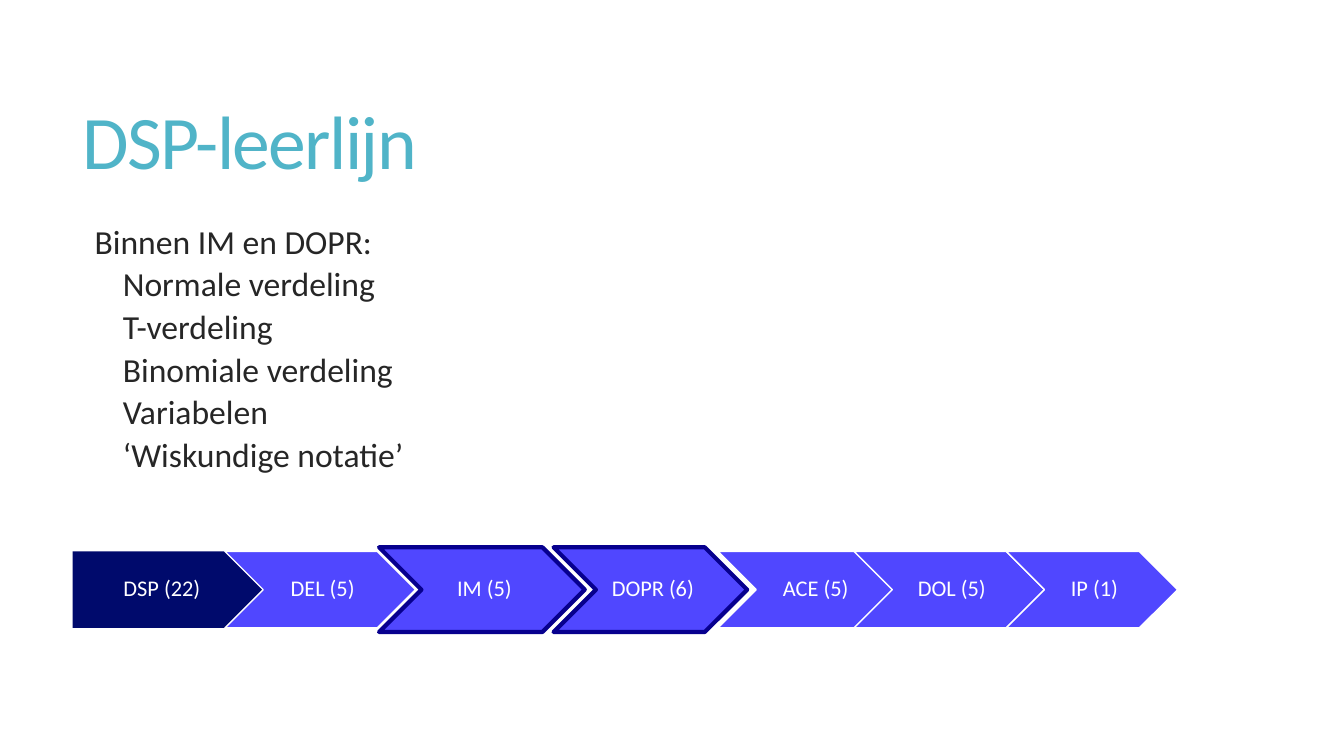
from dataclasses import dataclass

import pptx
import pptx.dml.color
import pptx.enum.shapes
import pptx.enum.text
import pptx.util
from pptx.dml.color import RGBColor
from pptx.util import Inches

WHITE = RGBColor(0xFF, 0xFF, 0xFF)
TEAL = RGBColor(0x50, 0xB4, 0xC8)
CHARCOAL = RGBColor(0x26, 0x26, 0x26)
NAVY = RGBColor(0x00, 0x0A, 0x6C)
VIOLET = RGBColor(0x50, 0x47, 0xFF)
OUTLINE = RGBColor(0x07, 0x00, 0x8E)

FONT_NAME = "Calibri"
ROW_MIDDLE = 5.85
STEP_HEIGHT = 0.76
FOCUS_HEIGHT = 0.84


@dataclass
class Step:
    label: str
    left: float
    width: float = 1.89
    first: bool = False
    focus: bool = False


TOPICS = [
    "Normale verdeling",
    "T-verdeling",
    "Binomiale verdeling",
    "Variabelen",
    "‘Wiskundige notatie’",
]

STEPS = [
    Step("DSP (22)", 0.72, first=True),
    Step("DEL (5)", 2.23),
    Step("IM (5)", 3.76, 2.04, focus=True),
    Step("DOPR (6)", 5.49, 1.92, focus=True),
    Step("ACE (5)", 7.12),
    Step("DOL (5)", 8.47),
    Step("IP (1)", 9.98, 1.7),
]


def style_paragraph(paragraph, size: float, color: RGBColor, line_spacing: float) -> None:
    paragraph.line_spacing = line_spacing
    paragraph.font.name = FONT_NAME
    paragraph.font.size = pptx.util.Pt(size)
    paragraph.font.color.rgb = color


def add_text_frame(slide, left: float, top: float, width: float, height: float):
    box = slide.shapes.add_textbox(Inches(left), Inches(top), Inches(width), Inches(height))
    box.text_frame.word_wrap = True
    return box.text_frame


def add_title(slide, text: str) -> None:
    frame = add_text_frame(slide, 0.72, 0.55, 11.78, 1.81)
    frame.vertical_anchor = pptx.enum.text.MSO_ANCHOR.MIDDLE
    paragraph = frame.paragraphs[0]
    run = paragraph.add_run()
    run.text = text
    run._r.get_or_add_rPr().set("spc", "-120")
    style_paragraph(paragraph, 54, TEAL, 0.85)


def add_topics(slide, heading: str, topics: list[str]) -> None:
    frame = add_text_frame(slide, 0.74, 2.2, 11.76, 4.12)
    for index, text in enumerate([heading, *topics]):
        paragraph = frame.add_paragraph() if index else frame.paragraphs[0]
        paragraph.text = text
        properties = paragraph._p.get_or_add_pPr()
        properties.set("marL", str(Inches(0.38 if index else 0.1)))
        if index:
            paragraph.level = 1
            paragraph.space_before = pptx.util.Pt(6)
        style_paragraph(paragraph, 24, CHARCOAL, 0.85)


def add_step(slide, step: Step) -> None:
    kinds = pptx.enum.shapes.MSO_SHAPE
    height = FOCUS_HEIGHT if step.focus else STEP_HEIGHT
    shape = slide.shapes.add_shape(
        kinds.PENTAGON if step.first else kinds.CHEVRON,
        Inches(step.left), Inches(ROW_MIDDLE - height / 2),
        Inches(step.width), Inches(height),
    )
    shape.shadow.inherit = False
    shape.fill.solid()
    shape.fill.fore_color.rgb = NAVY if step.first else VIOLET
    if step.first:
        shape.line.fill.background()
    else:
        shape.line.color.rgb = OUTLINE if step.focus else WHITE
        shape.line.width = pptx.util.Pt(3 if step.focus else 1)

    frame = shape.text_frame
    frame.word_wrap = True
    frame.vertical_anchor = pptx.enum.text.MSO_ANCHOR.MIDDLE
    frame.margin_left = Inches(0.09 if step.first else 0.07)
    frame.margin_right = Inches(0.02)
    frame.margin_top = frame.margin_bottom = Inches(0.05)
    paragraph = frame.paragraphs[0]
    paragraph.text = step.label
    paragraph.alignment = pptx.enum.text.PP_ALIGN.CENTER
    style_paragraph(paragraph, 16, WHITE, 0.9)


def main() -> None:
    presentation = pptx.Presentation()
    presentation.slide_width = Inches(13.33)
    presentation.slide_height = Inches(7.5)
    slide = presentation.slides.add_slide(presentation.slide_layouts[6])

    # Title and topics
    add_title(slide, "DSP-leerlijn")
    add_topics(slide, "Binnen IM en DOPR:", TOPICS)

    # Row of course steps
    for step in STEPS:
        add_step(slide, step)

    presentation.save("out.pptx")


if __name__ == "__main__":
    main()
